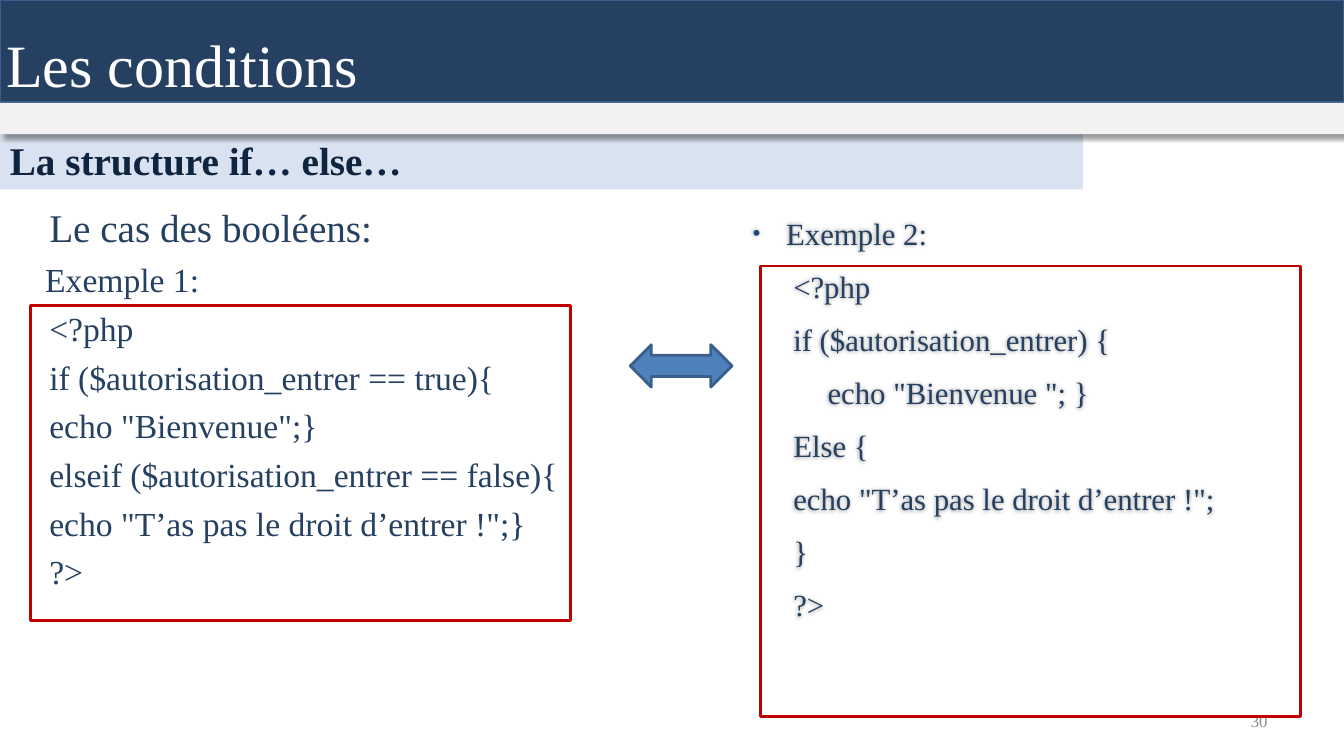
from dataclasses import dataclass

from lxml.etree import SubElement as Sub
from pptx import Presentation
from pptx.dml.color import RGBColor as Rgb
from pptx.enum.shapes import MSO_SHAPE as Kind
from pptx.enum.text import MSO_ANCHOR as Anchor, PP_ALIGN as Align
from pptx.oxml.ns import qn
from pptx.util import Inches, Pt


@dataclass(frozen=True)
class Theme:
    """Colours, font and type sizes."""
    font: str = "Times New Roman"
    navy: str = "254061"
    ink: str = "0F243E"
    white: str = "FFFFFF"
    grey: str = "8C8C8C"
    pale: str = "F2F2F2"
    band: str = "D8E2F0"
    blue: str = "4F81BD"
    edge: str = "3A5F8C"
    red: str = "C00000"
    dot: str = "1F497D"
    black: str = "000000"
    title: float = 42.9
    head: float = 28
    left: float = 24
    right: float = 22
    small: float = 12


@dataclass(frozen=True)
class Box:
    """A rectangle in inches."""
    x: float
    y: float
    w: float
    h: float

    def cut(self, x, y, w, h):
        """Return an inner box given in percent of this one."""
        return Box(self.x + self.w * x / 100, self.y + self.h * y / 100,
                   self.w * w / 100, self.h * h / 100)

    def emu(self):
        """Return the four lengths for python-pptx."""
        return [Inches(v) for v in (self.x, self.y, self.w, self.h)]


T = Theme()
PAGE = Box(0, 0, 13.33, 7.5)
LEFT = [
    ("Le cas des booléens:", 0.04, 0),
    ("Exemple 1:", 0.38, -0.38),
    ("<?php", 0.04, 0),
    ("if ($autorisation_entrer == true){", 0.04, 0),
    ("echo \"Bienvenue\";}", 0.04, 0),
    ("elseif ($autorisation_entrer == false){", 0.04, 0),
    ("echo \"T’as pas le droit d’entrer !\";}", 0.04, 0),
    ("?>", 0.04, 0),
]
RIGHT = [
    ("Exemple 2:", 0.38, -0.33),
    ("<?php", 0.45, 0),
    ("if ($autorisation_entrer) {", 0.45, 0),
    ("echo \"Bienvenue \"; }", 0.79, 0),
    ("Else {", 0.45, 0),
    ("echo \"T’as pas le droit d’entrer !\";", 0.45, 0),
    ("}", 0.45, 0),
    ("?>", 0.45, 0),
]


def shade(shape, blur, dist):
    """Give a shape a soft black shadow."""
    shape.shadow.inherit = False
    fx = shape._element.spPr.find(qn("a:effectLst"))
    drop = Sub(fx, qn("a:outerShdw"), blurRad=str(Pt(blur)),
               dist=str(Pt(dist)), dir="2700000", algn="tl", rotWithShape="0")
    tone = Sub(drop, qn("a:srgbClr"), val=T.black)
    Sub(tone, qn("a:alpha"), val="40000")


def block(slide, box, fill=None, line=None, kind=Kind.RECTANGLE):
    """Draw a preset shape."""
    shape = slide.shapes.add_shape(kind, *box.emu())
    shape.shadow.inherit = False
    if fill:
        shape.fill.solid()
        shape.fill.fore_color.rgb = Rgb.from_string(fill)
    else:
        shape.fill.background()
    if line:
        shape.line.color.rgb = Rgb.from_string(line)
        shape.line.width = Pt(2)
    else:
        shape.line.fill.background()
    return shape


def frame(slide, box, anchor=Anchor.TOP):
    """Add an empty wrapping text box."""
    shape = slide.shapes.add_textbox(*box.emu())
    shape.text_frame.word_wrap = True
    shape.text_frame.vertical_anchor = anchor
    return shape


def write(para, text, size, color, bold=False):
    """Add one run to a paragraph."""
    run = para.add_run()
    run.text = text
    font = run.font
    font.name, font.size, font.bold = T.font, Pt(size), bold
    font.color.rgb = Rgb.from_string(color)


def bullet(para):
    """Mark a paragraph with a small round bullet."""
    props = para._p.get_or_add_pPr()
    Sub(Sub(props, qn("a:buClr")), qn("a:srgbClr"), val=T.dot)
    Sub(props, qn("a:buSzPct"), val="70000")
    Sub(props, qn("a:buFont"), typeface="Arial")
    Sub(props, qn("a:buChar"), char="•")


def lines(shape, rows, size, lead, gap, after=0):
    """Fill a text box with indented rows, the first one at its own size."""
    body = shape.text_frame
    for i, (text, left, first) in enumerate(rows):
        para = body.add_paragraph() if i else body.paragraphs[0]
        para.alignment = Align.JUSTIFY
        if i:
            para.space_before = Pt(gap)
        para.space_after = Pt(after)
        props = para._p.get_or_add_pPr()
        props.set("marL", str(Inches(left)))
        props.set("indent", str(Inches(first)))
        write(para, text, size if i else lead, T.navy)


def header(slide, box):
    """Draw the title bar, the strip and the section band."""
    bar = block(slide, box.cut(0, 0, 100, 54.26), T.navy, T.edge)
    shade(bar, 4, 3)
    name = frame(slide, box.cut(0, 15.96, 54.4, 40.96)).text_frame
    name.margin_left = Inches(0.06)
    name.paragraphs[0].line_spacing = 0.9
    write(name.paragraphs[0], "Les conditions", T.title, T.white)
    block(slide, box.cut(0, 66.49, 80.57, 33.51), T.band)
    strip = block(slide, box.cut(0, 54.26, 100, 16.49), T.pale)
    shade(strip, 4, 3)
    topic = frame(slide, box.cut(0, 56.91, 55, 55.32), Anchor.MIDDLE)
    write(topic.text_frame.paragraphs[0], "La structure if… else…",
          T.head, T.ink, True)


def first(slide, box):
    """Place the first example and its red frame."""
    lines(frame(slide, box), LEFT, T.left, T.head, 6)
    block(slide, box.cut(-0.44, 19.63, 46.65, 57.96), line=T.red)


def second(slide, box):
    """Place the second example, softly shaded, and its red frame."""
    shape = frame(slide, box)
    lines(shape, RIGHT, T.right, T.right, 5.5, 6)
    bullet(shape.text_frame.paragraphs[0])
    shade(shape, 3, 0)
    block(slide, box.cut(3.67, 10.57, 89.33, 84.34), line=T.red)


def number(slide, box):
    """Place the page number."""
    para = frame(slide, box, Anchor.MIDDLE).text_frame.paragraphs[0]
    para.alignment = Align.RIGHT
    write(para, "30", T.small, T.grey)


def main():
    """Build the slide and save it."""
    deck = Presentation()
    deck.slide_width, deck.slide_height = Inches(PAGE.w), Inches(PAGE.h)
    slide = deck.slides.add_slide(deck.slide_layouts[6])
    number(slide, PAGE.cut(71.72, 92.67, 23.33, 5.33))
    header(slide, PAGE.cut(0, 0, 100, 25.07))
    first(slide, PAGE.cut(2.63, 26.27, 86.2, 72))
    second(slide, PAGE.cut(54.91, 27.73, 45, 70.67))
    block(slide, PAGE.cut(46.89, 45.6, 7.58, 5.6), T.blue, T.edge,
          Kind.LEFT_RIGHT_ARROW)
    deck.save("out.pptx")


if __name__ == "__main__":
    main()
